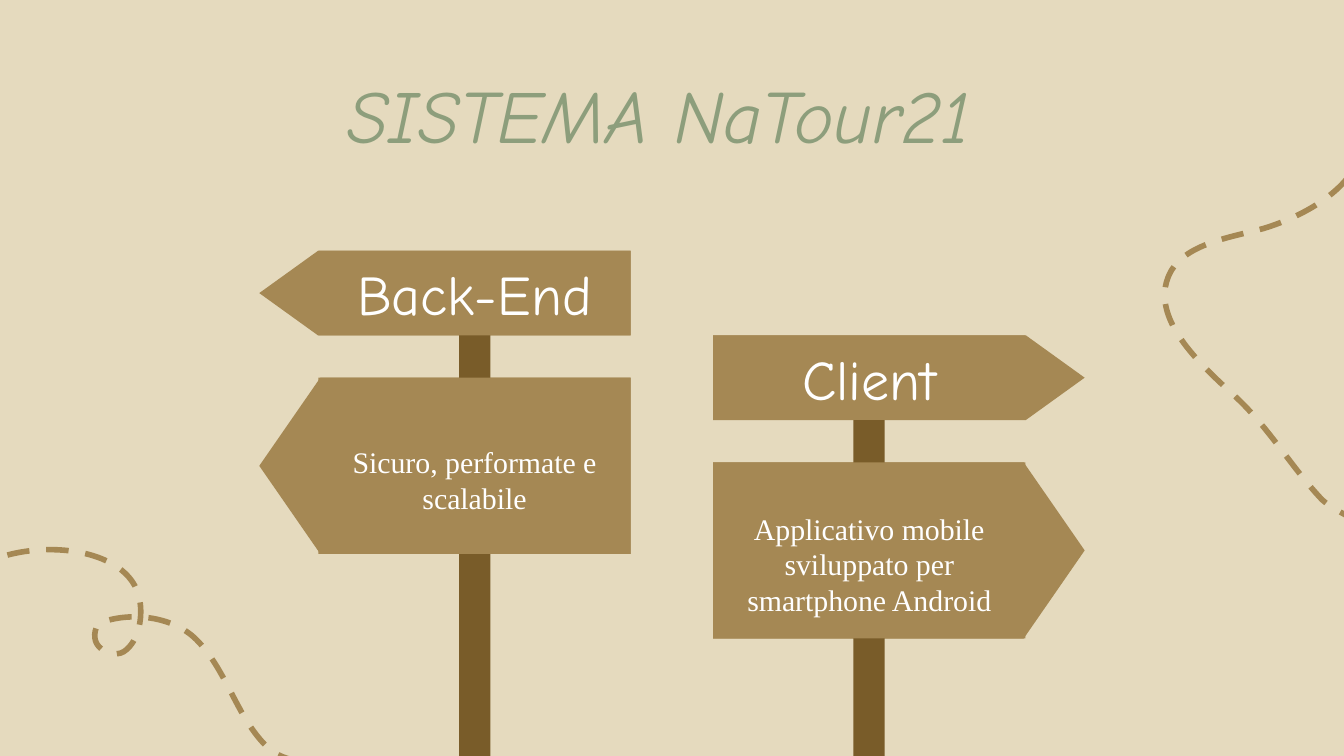
from dataclasses import dataclass

from lxml import etree
from pptx import Presentation
from pptx.dml.color import RGBColor
from pptx.enum.dml import MSO_LINE
from pptx.enum.shapes import MSO_SHAPE
from pptx.enum.text import MSO_ANCHOR, MSO_AUTO_SIZE, PP_ALIGN
from pptx.oxml.ns import qn
from pptx.slide import Slide
from pptx.util import Cm, Pt

RECTANGLE = MSO_SHAPE.RECTANGLE
ARROW_PLATE = MSO_SHAPE.PENTAGON
ROUNDED = MSO_SHAPE.ROUNDED_RECTANGLE
DASH = MSO_LINE.DASH
CENTER = PP_ALIGN.CENTER
TOP, MIDDLE = MSO_ANCHOR.TOP, MSO_ANCHOR.MIDDLE

SAND = RGBColor(0xE5, 0xDA, 0xBE)
WOOD = RGBColor(0xA5, 0x88, 0x54)
DARK_WOOD = RGBColor(0x79, 0x5C, 0x29)
SAGE = RGBColor(0x8D, 0x9E, 0x7C)
WHITE = RGBColor(0xFF, 0xFF, 0xFF)

HEADING_FONT = "Comic Neue"
BODY_FONT = "Times New Roman"

# Signpost measures in centimetres
PLATE_WIDTH, TEXT_WIDTH = 7.02, 5.9
BANNER_HEIGHT, PANEL_HEIGHT = 1.6, 3.33
PANEL_OFFSET = 2.4
POST_WIDTH = 0.59

Point = tuple[float, float]


@dataclass(frozen=True)
class Signpost:
    heading: str
    body: str
    left: float
    top: float
    points_left: bool
    post_left: float
    post_top: float
    post_height: float


@dataclass(frozen=True)
class Trail:
    top_left: Point
    bottom_right: Point
    start: Point
    curves: list[tuple[Point, Point, Point]]


SIGNPOSTS = [
    Signpost("Back-End", "Sicuro, performate e scalabile",
             4.9, 4.74, True, 8.68, 5.56, 9.27),
    Signpost("Client", "Applicativo mobile sviluppato per smartphone Android",
             13.48, 6.34, False, 16.13, 6.53, 8.86),
]

TRAILS = [
    Trail((-0.53, 10.39), (6.35, 14.58), (-0.53, 10.8), [
        ((0.33, 10.16), (2.34, 10.24), (2.62, 11.25)),
        ((2.72, 11.61), (2.64, 12.12), (2.34, 12.32)),
        ((2.18, 12.42), (1.91, 12.32), (1.83, 12.17)),
        ((1.75, 12.04), (1.8, 11.79), (1.93, 11.76)),
        ((2.51, 11.56), (3.28, 11.66), (3.71, 12.09)),
        ((4.29, 12.67), (4.47, 13.56), (5.05, 14.12)),
        ((5.38, 14.45), (5.94, 14.38), (6.35, 14.58)),
    ]),
    Trail((22.02, 2.74), (25.86, 10.03), (25.76, 2.74), [
        ((25.63, 3.56), (24.64, 4.09), (23.88, 4.32)),
        ((23.22, 4.5), (22.3, 4.62), (22.07, 5.26)),
        ((21.77, 6.07), (22.71, 6.91), (23.34, 7.49)),
        ((23.98, 8.08), (24.41, 8.84), (24.99, 9.45)),
        ((25.25, 9.68), (25.6, 9.78), (25.86, 10.03)),
    ]),
]


def draw_trail(slide: Slide, trail: Trail) -> None:
    left, top = trail.top_left
    right, bottom = trail.bottom_right
    builder = slide.shapes.build_freeform(Cm(left), Cm(top))
    builder.add_line_segments([(Cm(right), Cm(bottom))], close=False)
    shape = builder.convert_to_shape()
    shape.shadow.inherit = False
    shape.fill.background()
    shape.line.color.rgb = WOOD
    shape.line.width = Pt(3)
    shape.line.dash_style = DASH

    # Replace the straight segment by cubic curves within the same bounds
    outline = next(shape.element.iter(qn("a:path")))
    for child in list(outline):
        outline.remove(child)
    commands = [("a:moveTo", (trail.start,))]
    commands += [("a:cubicBezTo", curve) for curve in trail.curves]
    for tag, points in commands:
        command = etree.SubElement(outline, qn(tag))
        for x, y in points:
            etree.SubElement(command, qn("a:pt"),
                             x=str(int(Cm(x - left))), y=str(int(Cm(y - top))))


def add_block(slide: Slide, kind: MSO_SHAPE, left: float, top: float,
              width: float, height: float, color: RGBColor):
    shape = slide.shapes.add_shape(kind, Cm(left), Cm(top), Cm(width), Cm(height))
    shape.shadow.inherit = False
    shape.fill.solid()
    shape.fill.fore_color.rgb = color
    shape.line.fill.background()
    return shape


def write(shape, text: str, font: str, size: float, color: RGBColor, anchor: MSO_ANCHOR,
          insets: tuple[float, float, float, float]) -> None:
    """Fill a shape with one centred paragraph; insets run left, top, right, bottom."""
    frame = shape.text_frame
    frame.word_wrap = True
    frame.auto_size = MSO_AUTO_SIZE.NONE
    frame.vertical_anchor = anchor
    (frame.margin_left, frame.margin_top,
     frame.margin_right, frame.margin_bottom) = (Cm(inset) for inset in insets)
    frame.text = text
    paragraph = frame.paragraphs[0]
    paragraph.alignment = CENTER
    paragraph.font.name = font
    paragraph.font.size = Pt(size)
    paragraph.font.color.rgb = color


def draw_signpost(slide: Slide, sign: Signpost) -> None:
    panel_top = sign.top + PANEL_OFFSET
    text_left = sign.left + (PLATE_WIDTH - TEXT_WIDTH if sign.points_left else 0)

    # Arrow plates
    for top, height, tip in ((sign.top, BANNER_HEIGHT, 0.694),
                             (panel_top, PANEL_HEIGHT, 0.346)):
        plate = add_block(slide, ARROW_PLATE, sign.left, top, PLATE_WIDTH, height, WOOD)
        plate.adjustments[0] = tip
        plate.rotation = 180 if sign.points_left else 0

    # Post, passing behind the text boards
    post = add_block(slide, ROUNDED, sign.post_left, sign.post_top,
                     POST_WIDTH, sign.post_height, DARK_WOOD)
    post.adjustments[0] = 0.35

    # Text boards
    panel = add_block(slide, RECTANGLE, text_left, panel_top,
                      TEXT_WIDTH, PANEL_HEIGHT, WOOD)
    write(panel, sign.body, BODY_FONT, 16, WHITE, MIDDLE, (0.38, 0.51, 0.38, 0))
    banner = add_block(slide, RECTANGLE, text_left, sign.top,
                       TEXT_WIDTH, BANNER_HEIGHT, WOOD)
    write(banner, sign.heading, HEADING_FONT, 30, WHITE, MIDDLE, (0.25,) * 4)


def main() -> None:
    presentation = Presentation()
    presentation.slide_width, presentation.slide_height = Cm(25.4), Cm(14.29)
    slide = presentation.slides.add_slide(presentation.slide_layouts[5])
    slide.background.fill.solid()
    slide.background.fill.fore_color.rgb = SAND

    # Title
    title = slide.shapes.title
    title.left, title.top, title.width, title.height = Cm(0), Cm(1.05), Cm(25.4), Cm(1.6)
    write(title, "SISTEMA NaTour21 ", HEADING_FONT, 40, SAGE, TOP, (0.25,) * 4)
    title.text_frame.paragraphs[0].font.italic = True

    # Dashed trails and signposts
    for trail in TRAILS:
        draw_trail(slide, trail)
    for sign in SIGNPOSTS:
        draw_signpost(slide, sign)

    presentation.save("out.pptx")


if __name__ == "__main__":
    main()
